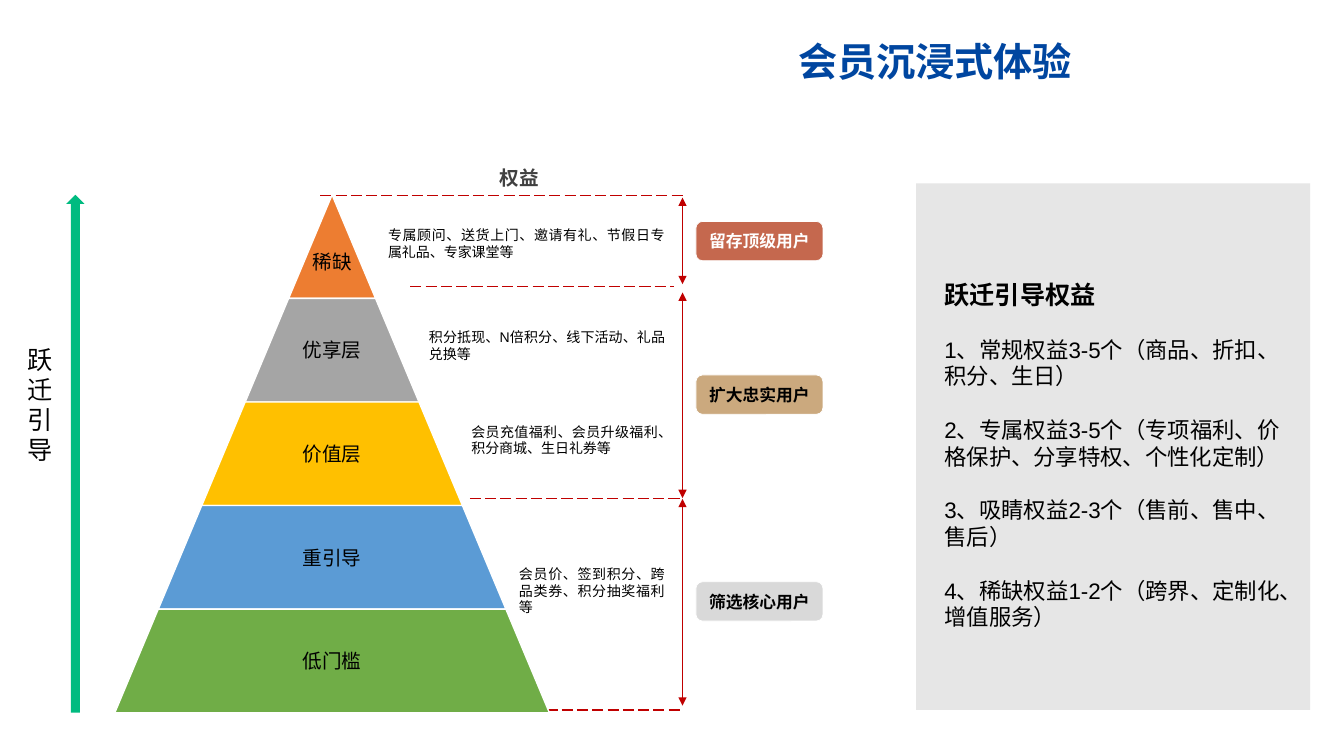
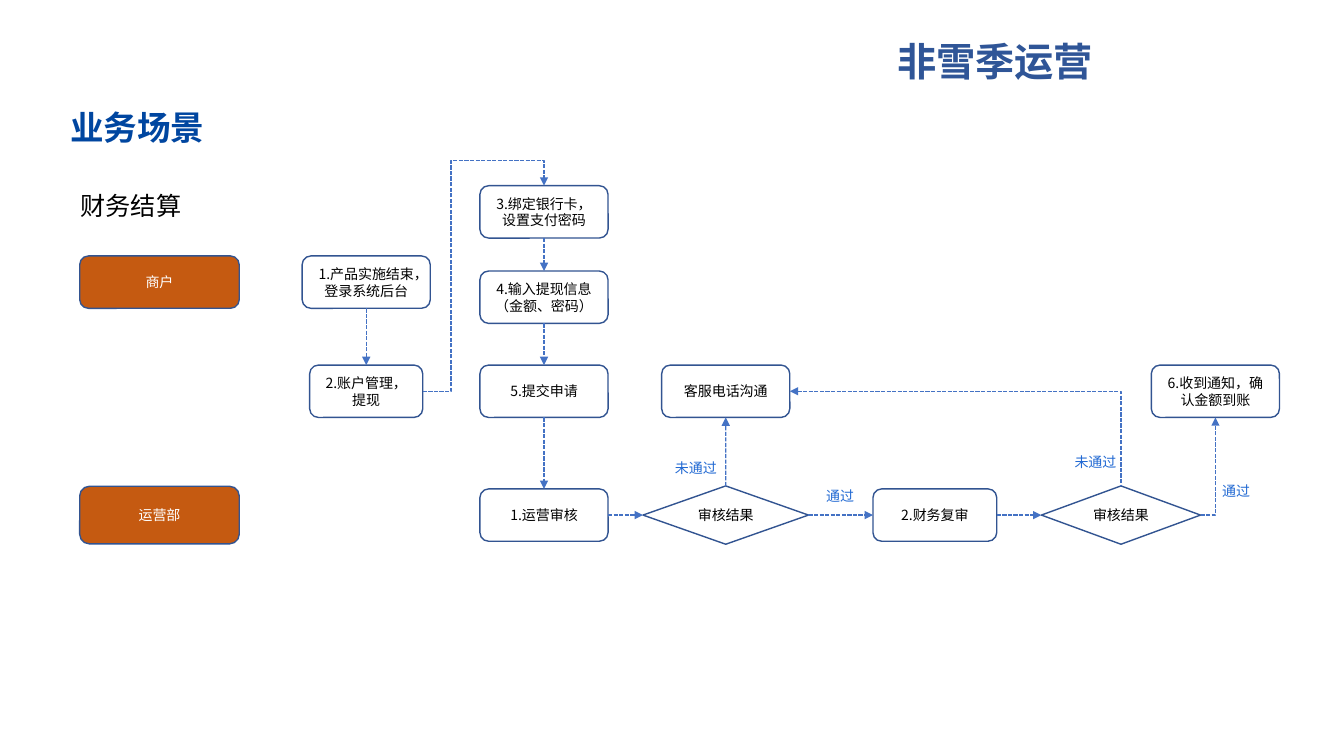
from lxml.etree import SubElement
from pptx import Presentation
from pptx.dml.color import RGBColor
from pptx.enum.dml import MSO_LINE
from pptx.enum.shapes import MSO_CONNECTOR as CONN, MSO_SHAPE as SHAPE
from pptx.enum.text import MSO_ANCHOR as ANCHOR, MSO_AUTO_SIZE as AUTO, PP_ALIGN as ALIGN
from pptx.oxml.ns import qn
from pptx.util import Cm, Pt

# All positions and lengths below are centimetres.
CJK, LATIN = "Noto Sans CJK SC", "Arial"
BLACK, WHITE, NAVY, RED = "000000", "FFFFFF", "0046A0", "C00000"
FLOW_EDGE, FLOW_LINE, FLOW_LABEL, ROLE_FILL = "325491", "4472C4", "2169D3", "C55A11"
TITLE_TOP, TITLE_W, TITLE_H = 0.82, 8, 1.45
LEADING = 1.2
TOP, LEFT, BOTTOM, RIGHT = range(4)  # connection sites

# Slide 1: pyramid from the apex down
TIERS = [("稀缺", "ED7D31"), ("优享层", "A5A5A5"), ("价值层", "FFC000"),
         ("重引导", "5B9BD5"), ("低门槛", "70AD47")]
APEX_X, APEX_Y, TIER_H, TIER_STEP = 8.37, 4.91, 2.61, 2.19
NOTES = [  # left, top, width, text
    (9.53, 5.59, 7.47, "专属顾问、送货上门、邀请有礼、节假日专属礼品、专家课堂等"),
    (10.56, 8.15, 6.45, "积分抵现、N倍积分、线下活动、礼品兑换等"),
    (11.63, 10.54, 5.56, "会员充值福利、会员升级福利、积分商城、生日礼券等"),
    (12.83, 14.12, 4.17, "会员价、签到积分、跨品类券、积分抽奖福利等"),
]
DIVIDERS = [(8.07, 17.22, 4.92), (10.34, 16.99, 7.22),
            (11.84, 17.22, 12.56), (13, 17.17, 17.89)]  # left, right, y
SPAN_X = 17.2
SPANS = [  # arrow top, arrow bottom, badge top, text, fill, text colour
    (4.98, 7.16, 5.58, "留存顶级用户", "C5684E", WHITE),
    (7.37, 12.55, 9.45, "扩大忠实用户", "CBA97E", BLACK),
    (12.57, 17.78, 14.66, "筛选核心用户", "D9D9D9", BLACK),
]
BENEFITS = ["跃迁引导权益",
            "1、常规权益3-5个（商品、折扣、积分、生日）",
            "2、专属权益3-5个（专项福利、价格保护、分享特权、个性化定制）",
            "3、吸睛权益2-3个（售前、售中、售后）",
            "4、稀缺权益1-2个（跨界、定制化、增值服务）"]

# Slide 2: column centres, row centres and the flow between the nodes
COL = dict(role=4.02, login=9.23, card=13.71, call=18.29, review=23.56, check=28.25, done=30.63)
ROW = dict(card=5.34, merchant=7.11, amount=7.49, request=9.86, operator=12.98)
ROLES = [("商户", "merchant", 1.32), ("运营部", "operator", 1.45)]
BOX_W, BOX_H, DIAMOND_H = 3.23, 1.32, 1.47
BOX, DIAMOND = SHAPE.ROUNDED_RECTANGLE, SHAPE.FLOWCHART_DECISION
NODES = {  # text, column, row, shape, width, height
    "login": ("1.产品实施结束，登录系统后台", "login", "merchant", BOX, BOX_W, BOX_H),
    "account": ("2.账户管理，提现", "login", "request", BOX, 2.85, BOX_H),
    "card": ("3.绑定银行卡，设置支付密码", "card", "card", BOX, BOX_W, BOX_H),
    "amount": ("4.输入提现信息（金额、密码）", "card", "amount", BOX, BOX_W, BOX_H),
    "request": ("5.提交申请", "card", "request", BOX, BOX_W, BOX_H),
    "audit": ("1.运营审核", "card", "operator", BOX, BOX_W, BOX_H),
    "result1": ("审核结果", "call", "operator", DIAMOND, 4.17, DIAMOND_H),
    "call": ("客服电话沟通", "call", "request", BOX, BOX_W, BOX_H),
    "review": ("2.财务复审", "review", "operator", BOX, 3.12, BOX_H),
    "result2": ("审核结果", "check", "operator", DIAMOND, 4.01, DIAMOND_H),
    "done": ("6.收到通知，确认金额到账", "done", "request", BOX, BOX_W, BOX_H),
}
STRAIGHT = [("login", BOTTOM, "account", TOP), ("card", BOTTOM, "amount", TOP),
            ("amount", BOTTOM, "request", TOP), ("request", BOTTOM, "audit", TOP),
            ("audit", RIGHT, "result1", LEFT), ("result1", TOP, "call", BOTTOM),
            ("result1", RIGHT, "review", LEFT), ("review", RIGHT, "result2", LEFT)]
BENT = [  # start, side, end, side, preset, adjustments, end that has the arrowhead
    ("account", RIGHT, "card", TOP, "bentConnector4", (0.234, 1.122), "tailEnd"),
    ("result2", RIGHT, "done", BOTTOM, "bentConnector2", (), "tailEnd"),
    ("call", RIGHT, "result2", TOP, "bentConnector2", (), "headEnd"),
]
FLOW_LABELS = [(16.76, 11.46, "未通过"), (20.57, 12.17, "通过"),
               (26.83, 11.3, "未通过"), (30.55, 12.04, "通过")]


def rgb(value):
    return RGBColor.from_string(value)


def format_paragraph(p, size, color=BLACK, bold=False, align=ALIGN.LEFT, font=CJK, before=0):
    p.alignment, p.line_spacing = align, Pt(size * LEADING)
    p.space_before, p.space_after = Pt(before), Pt(0)
    p.font.name, p.font.size, p.font.bold = font, Pt(size), bold
    p.font.color.rgb = rgb(color)
    latin = p.font._element.find(qn("a:latin"))
    ea = SubElement(p.font._element, qn("a:ea"), typeface=CJK)
    latin.addnext(ea)


def set_margins(tf, left, top, right, bottom):
    tf.margin_left, tf.margin_top = Cm(left), Cm(top)
    tf.margin_right, tf.margin_bottom = Cm(right), Cm(bottom)


def place(s, x, y, w, h):
    s.left, s.top, s.width, s.height = Cm(x), Cm(y), Cm(w), Cm(h)


def add_title(slide, text, x, color):
    s = slide.shapes.title
    place(s, x, TITLE_TOP, TITLE_W, TITLE_H)
    tf = s.text_frame
    tf.text, tf.auto_size, tf.vertical_anchor = text, AUTO.NONE, ANCHOR.TOP
    format_paragraph(tf.paragraphs[0], 28, color, True)


def add_text(slide, text, x, y, w, h, size, wrap=True, **style):
    tf = slide.shapes.add_textbox(Cm(x), Cm(y), Cm(w), Cm(h)).text_frame
    tf.text, tf.word_wrap = text, wrap
    format_paragraph(tf.paragraphs[0], size, **style)


def add_box(slide, kind, x, y, w, h, fill, edge=None, edge_pt=1):
    s = slide.shapes.add_shape(kind, Cm(x), Cm(y), Cm(w), Cm(h))
    s.shadow.inherit = False
    s.fill.solid()
    s.fill.fore_color.rgb = rgb(fill)
    if edge:
        s.line.color.rgb, s.line.width = rgb(edge), Pt(edge_pt)
    else:
        s.line.fill.background()
    return s


def label_box(s, text, size, **style):
    """Write one centred label inside a shape."""
    tf = s.text_frame
    tf.text, tf.vertical_anchor = text, ANCHOR.MIDDLE
    format_paragraph(tf.paragraphs[0], size, align=ALIGN.CENTER, **style)
    return tf


def add_line(slide, kind, color, points=(0, 0, 0, 0), width=1, dash=None, arrows=()):
    c = slide.shapes.add_connector(kind, *map(Cm, points))
    c.line.color.rgb, c.line.width = rgb(color), Pt(width)
    if dash:
        c.line.dash_style = dash
    props = c._element.spPr
    for arrow in arrows:
        SubElement(props.find(qn("a:ln")), qn("a:" + arrow), type="triangle")
    SubElement(props, qn("a:effectLst"))
    return c


def bend(c, preset, adjustments):
    geometry = c._element.spPr.find(qn("a:prstGeom"))
    geometry.set("prst", preset)
    for i, value in enumerate(adjustments, 1):
        SubElement(geometry.find(qn("a:avLst")), qn("a:gd"),
                   name=f"adj{i}", fmla=f"val {round(value * 100000)}")


def add_benefits(s):
    place(s, 23.09, 4.62, 9.93, 13.27)
    s.fill.solid()
    s.fill.fore_color.rgb = rgb("E6E6E6")
    tf = s.text_frame
    tf.text, tf.auto_size = "\n".join(BENEFITS), AUTO.NONE
    tf.vertical_anchor = ANCHOR.MIDDLE
    set_margins(tf, 0.71, 0.53, 0.74, 0.13)
    for i, p in enumerate(tf.paragraphs):
        props = p._p.get_or_add_pPr()
        props.set("marL", "0")
        props.set("indent", "0")
        SubElement(props, qn("a:buNone"))
        heading = i == 0
        format_paragraph(p, 18 if heading else 16, bold=heading, font=LATIN,
                         before=0 if heading else 19)


def add_pyramid(slide):
    for i, (text, fill) in enumerate(TIERS):
        w = TIER_STEP * (i + 1)
        s = add_box(slide, SHAPE.TRAPEZOID, APEX_X - w / 2, APEX_Y + i * TIER_H,
                    w, TIER_H, fill, WHITE)
        s.adjustments[0] = TIER_STEP / 2 / min(w, TIER_H)
        tf = label_box(s, text, 14)
        tf.word_wrap = False
        # A trapezoid's text area starts lower down; balance it below, except at the tip.
        set_margins(tf, 0, 0, 0, TIER_H / 3 / (i + 1) if i else 0.1)


def build_membership(prs):
    slide = prs.slides.add_slide(prs.slide_layouts[1])
    add_title(slide, "会员沉浸式体验", 19.86, NAVY)
    add_benefits(slide.placeholders[1])
    for left, right, y in DIVIDERS:
        add_line(slide, CONN.STRAIGHT, RED, (left, y, right, y), dash=MSO_LINE.LONG_DASH)
    for top, bottom, badge_top, text, fill, color in SPANS:
        add_line(slide, CONN.STRAIGHT, RED, (SPAN_X, top, SPAN_X, bottom), 0.5,
                 arrows=("headEnd", "tailEnd"))
        badge = add_box(slide, BOX, 17.54, badge_top, 3.2, 0.99, fill, WHITE, 0.5)
        tf = label_box(badge, text, 12, color=color, bold=True, font=LATIN)
        set_margins(tf, 0.13, 0.08, 0.13, 0.08)
    for x, y, w, text in NOTES:
        add_text(slide, text, x, y, w, 1.12, 10, align=ALIGN.JUSTIFY, font=LATIN)
    add_text(slide, "权益", 12.33, 4.06, 1.52, 0.86, 14, wrap=False, color="404040",
             bold=True, align=ALIGN.CENTER, font=LATIN)
    add_pyramid(slide)
    add_box(slide, SHAPE.UP_ARROW, 1.67, APEX_Y, 0.46, TIER_H * len(TIERS), "00BB80")
    add_text(slide, "跃迁引导", 0.45, 8.54, 1.07, 3.33, 18, font=LATIN)


def build_settlement(prs):
    slide = prs.slides.add_slide(prs.slide_layouts[5])
    add_title(slide, "非雪季运营", 22.36, "2F5597")
    add_text(slide, "业务场景", 1.52, 2.57, 4.98, 1.4, 24, color=NAVY, bold=True, font=LATIN)
    add_text(slide, "财务结算", 1.78, 4.67, 3.58, 1.02, 18)

    def add_node(text, col, row, kind, w, h, fill=WHITE, color=BLACK):
        s = add_box(slide, kind, COL[col] - w / 2, ROW[row] - h / 2, w, h, fill, FLOW_EDGE)
        label_box(s, text, 10, color=color)
        return s

    def join(kind, start, start_side, end, end_side, arrow="tailEnd"):
        c = add_line(slide, kind, FLOW_LINE, dash=MSO_LINE.SQUARE_DOT, arrows=(arrow,))
        c.begin_connect(nodes[start], start_side)
        c.end_connect(nodes[end], end_side)
        return c

    for text, row, h in ROLES:
        add_node(text, "role", row, BOX, 4.02, h, ROLE_FILL, WHITE)
    nodes = {name: add_node(*node) for name, node in NODES.items()}
    for link in STRAIGHT:
        join(CONN.STRAIGHT, *link)
    for *link, preset, adjustments, arrow in BENT:
        bend(join(CONN.ELBOW, *link, arrow), preset, adjustments)
    for x, y, text in FLOW_LABELS:
        add_text(slide, text, x, y, 1.65, 0.69, 10, color=FLOW_LABEL)


def main():
    prs = Presentation()
    prs.slide_width, prs.slide_height = Cm(33.87), Cm(19.05)
    build_membership(prs)
    build_settlement(prs)
    prs.save("out.pptx")


if __name__ == "__main__":
    main()
